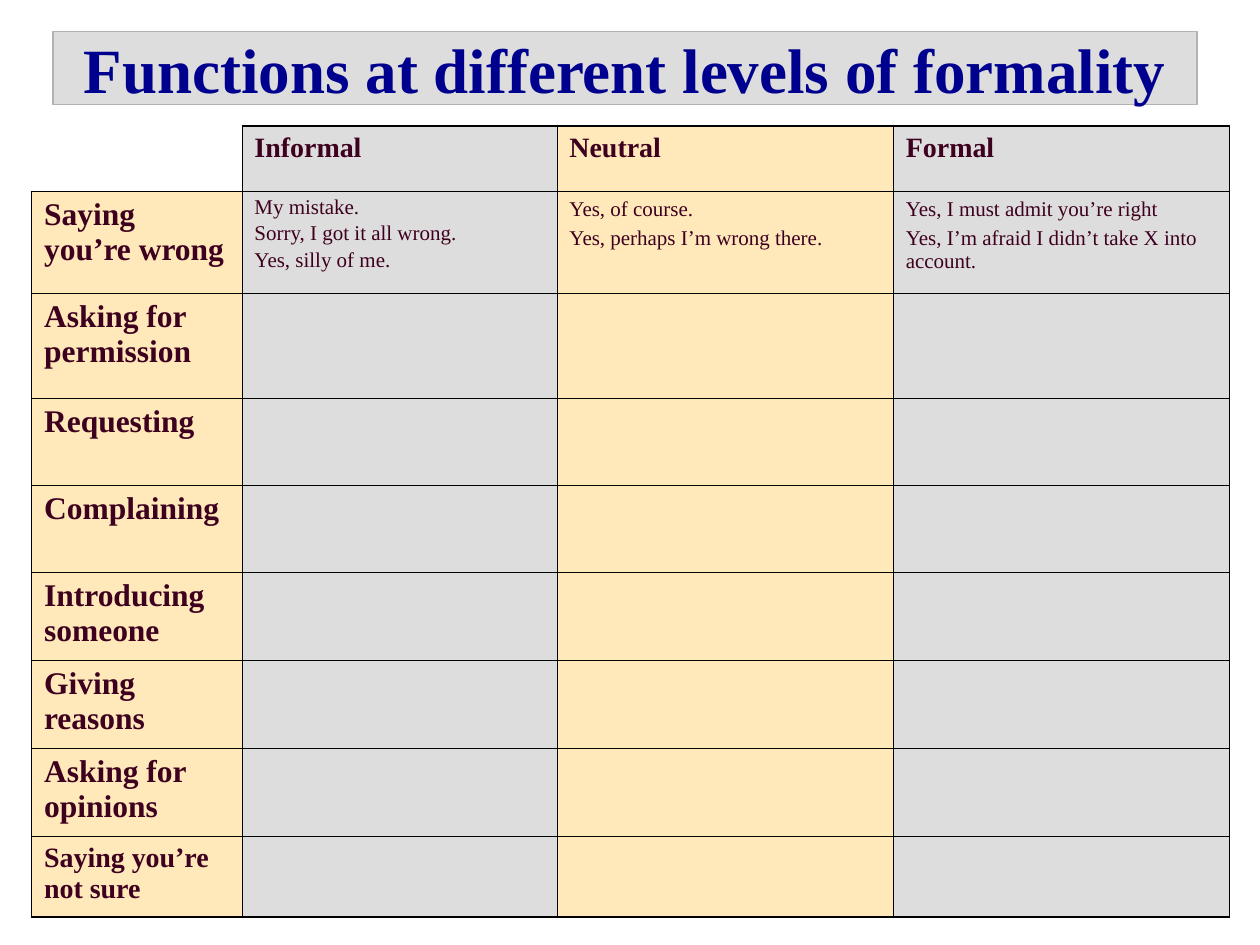
from lxml import etree
from pptx import Presentation
from pptx.dml.color import RGBColor
from pptx.enum.text import MSO_ANCHOR, MSO_AUTO_SIZE, PP_ALIGN
from pptx.oxml.ns import qn
from pptx.util import Inches, Pt

CENTER = PP_ALIGN.CENTER
MIDDLE = MSO_ANCHOR.MIDDLE
NO_AUTOFIT = MSO_AUTO_SIZE.NONE

FONT = "Times New Roman"
NAVY = RGBColor(0x00, 0x00, 0x8E)
MAROON = RGBColor(0x3E, 0x00, 0x1F)
GREY = RGBColor(0xDD, 0xDD, 0xDD)
CREAM = RGBColor(0xFF, 0xE8, 0xB9)
MID_GREY = RGBColor(0xB2, 0xB2, 0xB2)
BLACK = RGBColor(0x00, 0x00, 0x00)

THIN, THICK = 0.45, 1.08

COLUMN_WIDTHS = [1.67, 2.5, 2.67, 2.67]
ROW_HEIGHTS = [0.52, 0.81, 0.83, 0.69, 0.69, 0.7, 0.7, 0.7, 0.64]
COLUMN_FILLS = [CREAM, GREY, CREAM, GREY]

LEVELS = ["Informal", "Neutral", "Formal"]
FUNCTIONS = [
    "Saying you’re wrong",
    "Asking for permission",
    "Requesting",
    "Complaining",
    "Introducing someone",
    "Giving reasons",
    "Asking for opinions",
    "Saying you’re not sure",
]
# Example phrases for the first function, one list per level
EXAMPLES = [
    ["My mistake.", "Sorry, I got it all wrong.", "Yes, silly of me."],
    ["Yes, of course.", "Yes, perhaps I’m wrong there."],
    ["Yes, I must admit you’re right",
     "Yes, I’m afraid I didn’t take X into account."],
]


def add_run(paragraph, text, size, color, bold):
    run = paragraph.add_run()
    run.text = text
    run.font.name = FONT
    run.font.size = Pt(size)
    run.font.bold = bold
    run.font.color.rgb = color


def add_title(slide, text):
    title = slide.shapes.title
    title.left, title.top = Inches(0.42), Inches(0.25)
    title.width, title.height = Inches(9.08), Inches(0.58)
    title.fill.solid()
    title.fill.fore_color.rgb = GREY
    title.line.color.rgb = MID_GREY
    title.line.width = Pt(0.75)
    frame = title.text_frame
    frame.word_wrap = True
    frame.auto_size = NO_AUTOFIT
    frame.vertical_anchor = MIDDLE
    paragraph = frame.paragraphs[0]
    paragraph.alignment = CENTER
    add_run(paragraph, text, 36, NAVY, True)


def write_cell(cell, lines, size, bold=False, line_spacing=None):
    frame = cell.text_frame
    for index, line in enumerate(lines):
        paragraph = frame.add_paragraph() if index else frame.paragraphs[0]
        paragraph.space_before = Pt(size / 4)
        if line_spacing:
            paragraph.line_spacing = line_spacing
        add_run(paragraph, line, size, MAROON, bold)


def set_borders(cell, widths):
    """Draw the left, right, top and bottom borders; a width of 0 hides one."""
    properties = cell._tc.get_or_add_tcPr()
    for side, width in zip("LRTB", widths):
        line = etree.SubElement(properties, qn(f"a:ln{side}"), w=str(int(Pt(width))))
        if width:
            solid = etree.SubElement(line, qn("a:solidFill"))
            etree.SubElement(solid, qn("a:srgbClr"), val=str(BLACK))
        else:
            etree.SubElement(line, qn("a:noFill"))


def style_cell(cell, row, column):
    is_corner = row == 0 and column == 0
    outer = 0 if is_corner else THICK
    set_borders(cell, [
        outer if column == 0 else THIN,
        THICK if column == len(COLUMN_WIDTHS) - 1 else THIN,
        outer if row == 0 else THIN,
        THICK if row == len(ROW_HEIGHTS) - 1 else THIN,
    ])
    if is_corner:
        cell.fill.background()
    else:
        cell.fill.solid()
        cell.fill.fore_color.rgb = COLUMN_FILLS[column]


def add_formality_table(slide):
    table = slide.shapes.add_table(
        len(ROW_HEIGHTS), len(COLUMN_WIDTHS), Inches(0.25), Inches(1),
        Inches(sum(COLUMN_WIDTHS)), Inches(sum(ROW_HEIGHTS))).table
    table.first_row = False
    table.horz_banding = False
    for column, width in zip(table.columns, COLUMN_WIDTHS):
        column.width = Inches(width)
    for row, height in zip(table.rows, ROW_HEIGHTS):
        row.height = Inches(height)
    for row in range(len(ROW_HEIGHTS)):
        for column in range(len(COLUMN_WIDTHS)):
            style_cell(table.cell(row, column), row, column)
    return table


def fill_formality_table(table):
    # Level headings and their example phrases
    for column, (level, phrases) in enumerate(zip(LEVELS, EXAMPLES), start=1):
        write_cell(table.cell(0, column), [level], 16, bold=True)
        spacing = 0.9 if level == "Informal" else None
        write_cell(table.cell(1, column), phrases, 12, line_spacing=spacing)
    # Function names, the last one slightly smaller
    for row, function in enumerate(FUNCTIONS, start=1):
        size = 16 if row == len(FUNCTIONS) else 18
        write_cell(table.cell(row, 0), [function], size, bold=True)


def main():
    presentation = Presentation()
    presentation.slide_width = Inches(10)
    presentation.slide_height = Inches(7.5)
    title_only = presentation.slide_layouts[5]
    slide = presentation.slides.add_slide(title_only)
    add_title(slide, "Functions at different levels of formality")
    fill_formality_table(add_formality_table(slide))
    presentation.save("out.pptx")


if __name__ == "__main__":
    main()
